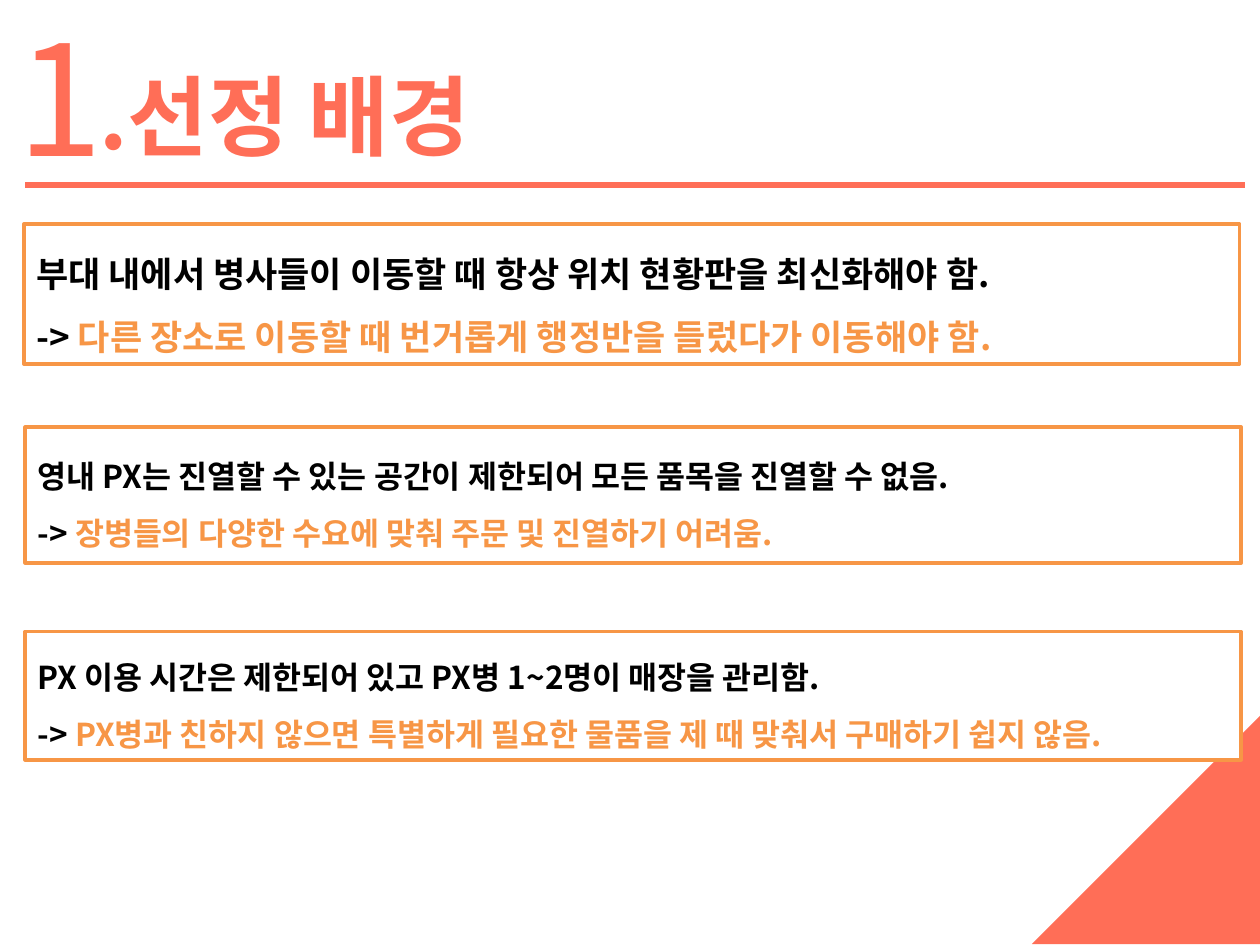
from lxml.etree import SubElement
from pptx import Presentation
from pptx.dml.color import RGBColor
from pptx.enum.shapes import MSO_CONNECTOR as Link, MSO_SHAPE as Kind
from pptx.enum.text import MSO_ANCHOR as Anchor, MSO_AUTO_SIZE as Auto, PP_ALIGN as Align
from pptx.oxml.ns import qn
from pptx.util import Cm, Pt

FACE = "Noto Sans CJK KR"
HUES = {"coral": "FF6E57", "orange": "F79646", "white": "FFFFFF", "black": "000000"}
NUMBER, TITLE = "1", ".선정 배경"
BOXES = [
    (0.48, 4.52, 2.82, 20,
     "부대 내에서 병사들이 이동할 때 항상 위치 현황판을 최신화해야 함.",
     "다른 장소로 이동할 때 번거롭게 행정반을 들렀다가 이동해야 함."),
    (0.51, 8.61, 2.74, 18,
     "영내 PX는 진열할 수 있는 공간이 제한되어 모든 품목을 진열할 수 없음.",
     "장병들의 다양한 수요에 맞춰 주문 및 진열하기 어려움."),
    (0.51, 12.73, 2.59, 18,
     "PX 이용 시간은 제한되어 있고 PX병 1~2명이 매장을 관리함.",
     "PX병과 친하지 않으면 특별하게 필요한 물품을 제 때 맞춰서 구매하기 쉽지 않음."),
]


def hue(name):
    return RGBColor.from_string(HUES[name])


def style(para, size, color, bold=False):
    para.alignment = Align.LEFT
    font = para.font
    font.size, font.bold, font.name = Pt(size), bold, FACE
    font.color.rgb = hue(color)
    props = para._p.get_or_add_pPr().find(qn("a:defRPr"))
    SubElement(props, qn("a:ea"), typeface=FACE)


def head(shape, text, size, bold, *place):
    shape.left, shape.top, shape.width, shape.height = map(Cm, place)
    frame = shape.text_frame
    frame.text = text
    frame.word_wrap, frame.auto_size = True, Auto.NONE
    frame.vertical_anchor = Anchor.TOP
    style(frame.paragraphs[0], size, "coral", bold)


def block(shapes, left, top, high, size, fact, issue):
    box = shapes.add_shape(Kind.RECTANGLE, Cm(left), Cm(top), Cm(24.51), Cm(high))
    box.shadow.inherit = False
    box.fill.solid()
    box.fill.fore_color.rgb = hue("white")
    box.line.color.rgb = hue("orange")
    box.line.width = Pt(2)
    frame = box.text_frame
    frame.word_wrap, frame.vertical_anchor = True, Anchor.MIDDLE
    frame.text = fact
    para = frame.add_paragraph()
    para.add_run().text = "-> "
    run = para.add_run()
    run.text = issue
    run.font.color.rgb = hue("orange")
    for para in frame.paragraphs:
        para.line_spacing = 1.5
        style(para, size, "black", True)


def main():
    """Build the slide on the background of the choice."""
    deck = Presentation()
    deck.slide_width, deck.slide_height = Cm(25.4), Cm(19.05)
    shapes = deck.slides.add_slide(deck.slide_layouts[5]).shapes
    head(shapes.title, TITLE, 50, True, 1.75, 1.12, 13.95, 2.39)
    number = shapes.add_textbox(0, 0, 0, 0)
    head(number, NUMBER, 88, False, 0.1, -0.08, 2.01, 4.01)

    rule = shapes.add_connector(Link.STRAIGHT, Cm(0.51), Cm(3.73), Cm(25.1), Cm(3.73))
    rule.line.color.rgb = hue("coral")
    rule.line.width = Pt(3)
    SubElement(rule._element.spPr, qn("a:effectLst"))

    corner = shapes.add_shape(Kind.RIGHT_TRIANGLE, Cm(20.8), Cm(14.43), Cm(4.6), Cm(4.6))
    corner.rotation = 270
    corner.shadow.inherit = False
    corner.fill.solid()
    corner.fill.fore_color.rgb = hue("coral")
    corner.line.fill.background()

    for row in BOXES:
        block(shapes, *row)
    deck.save("out.pptx")


if __name__ == "__main__":
    main()
